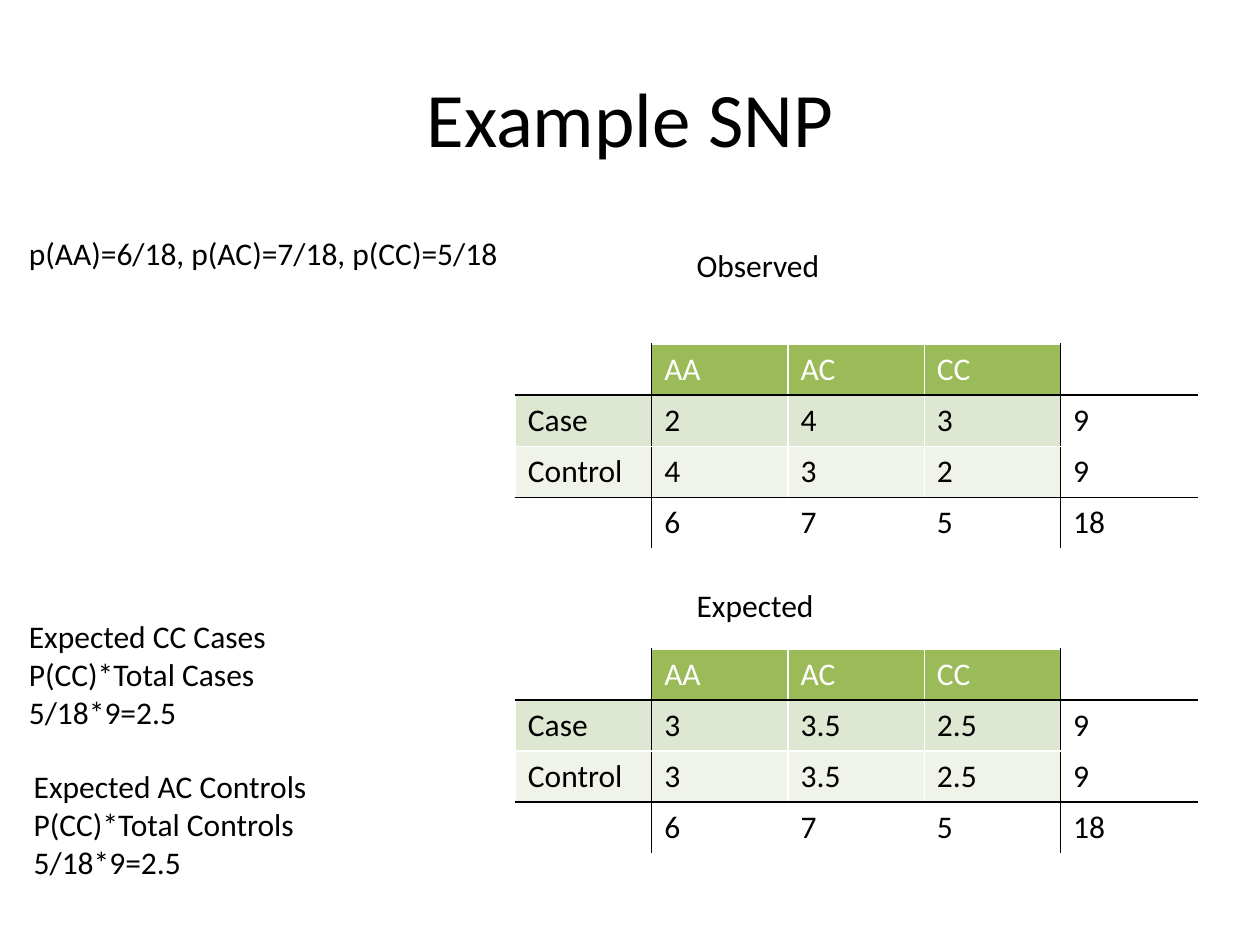
from dataclasses import dataclass

from lxml.etree import SubElement
from pptx import Presentation
from pptx.dml.color import RGBColor
from pptx.enum.text import MSO_ANCHOR, PP_ALIGN
from pptx.oxml.ns import qn
from pptx.util import Pt


@dataclass(frozen=True)
class Theme:
    font: str = "Calibri"
    title_size: int = 44
    body_size: int = 18
    ink: str = "000000"
    paper: str = "FFFFFF"
    header: str = "9BBB59"
    case_band: str = "DEE7D1"
    control_band: str = "EFF3EA"


class SlideBuilder:
    """Draw text and contingency tables on one slide in one theme."""

    def __init__(self, slide, theme):
        self.slide = slide
        self.theme = theme

    def add_run(self, paragraph, words, size, color):
        run = paragraph.add_run()
        run.text = words
        run.font.name = self.theme.font
        run.font.size = Pt(size)
        run.font.bold = False
        run.font.color.rgb = RGBColor.from_string(color)

    def text(self, bounds, lines, size=None, align=PP_ALIGN.LEFT,
             anchor=MSO_ANCHOR.TOP, wrap=True, gap=0):
        frame = self.slide.shapes.add_textbox(*map(Pt, bounds)).text_frame
        frame.word_wrap = wrap
        frame.vertical_anchor = anchor
        for index, line in enumerate(lines):
            paragraph = frame.add_paragraph() if index else frame.paragraphs[0]
            paragraph.alignment = align
            paragraph.space_before = Pt(gap if index else 0)
            self.add_run(paragraph, line, size or self.theme.body_size, self.theme.ink)

    def border(self, cell, side, color):
        line = SubElement(cell._tc.get_or_add_tcPr(), qn(f"a:ln{side}"), w=str(Pt(1)))
        fill = SubElement(line, qn("a:solidFill"))
        SubElement(fill, qn("a:srgbClr"), val=color)

    def contingency_table(self, left, top, rows, column_width=77.9, row_height=29.2):
        theme = self.theme
        last_row, last_column = len(rows) - 1, len(rows[0]) - 1
        bands = (theme.header, theme.case_band, theme.control_band, theme.paper)
        table = self.slide.shapes.add_table(
            len(rows), len(rows[0]), Pt(left), Pt(top),
            Pt(column_width * len(rows[0])), Pt(row_height * len(rows))).table
        for column in table.columns:
            column.width = Pt(column_width)
        for r, values in enumerate(rows):
            table.rows[r].height = Pt(row_height)
            for c, value in enumerate(values):
                cell = table.cell(r, c)
                ruled = {"L": c in (1, last_column), "R": c + 1 in (1, last_column),
                         "T": r in (1, last_row), "B": r + 1 in (1, last_row)}
                for side, black in ruled.items():
                    self.border(cell, side, theme.ink if black else theme.paper)
                plain = c == last_column or not value
                cell.fill.solid()
                cell.fill.fore_color.rgb = RGBColor.from_string(
                    theme.paper if plain else bands[r])
                if value:
                    self.add_run(cell.text_frame.paragraphs[0], value, theme.body_size,
                                 theme.ink if r else theme.paper)


def main():
    deck = Presentation()
    deck.slide_width, deck.slide_height = Pt(720), Pt(540)
    theme = Theme()
    builder = SlideBuilder(deck.slides.add_slide(deck.slide_layouts[6]), theme)

    genotypes = ["", "AA", "AC", "CC", ""]
    totals = ["", "6", "7", "5", "18"]
    observed = [genotypes, ["Case", "2", "4", "3", "9"],
                ["Control", "4", "3", "2", "9"], totals]
    expected = [genotypes, ["Case", "3", "3.5", "2.5", "9"],
                ["Control", "3", "3.5", "2.5", "9"], totals]

    builder.text((36, 21.6, 648, 90), ["Example SNP"], theme.title_size,
                 PP_ALIGN.CENTER, MSO_ANCHOR.MIDDLE)
    builder.text((391, 136.8, 293, 334), ["Observed", "Expected"], gap=172.8)
    builder.contingency_table(294.5, 196.6, observed)
    builder.text((9.4, 130.3, 285, 29), ["p(AA)=6/18, p(AC)=7/18, p(CC)=5/18"], wrap=False)
    builder.contingency_table(294.5, 370.8, expected)
    builder.text((9.4, 349.2, 151, 72.7),
                 ["Expected CC Cases", "P(CC)*Total Cases", "5/18*9=2.5"], wrap=False)
    builder.text((12.2, 434.9, 172, 72.7),
                 ["Expected AC Controls", "P(CC)*Total Controls", "5/18*9=2.5"], wrap=False)
    deck.save("out.pptx")


if __name__ == "__main__":
    main()
